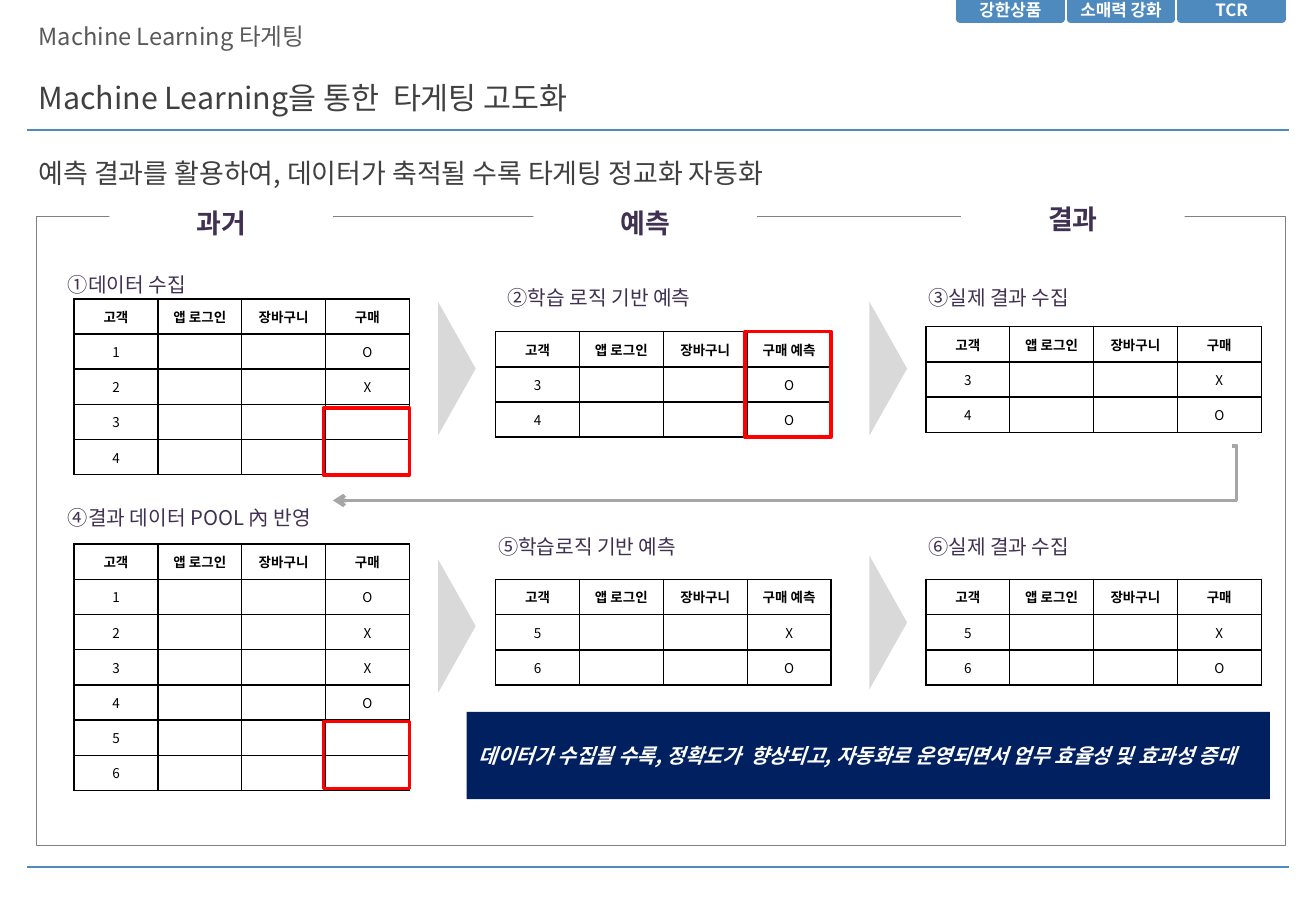
from lxml.etree import SubElement
from pptx import Presentation
from pptx.dml.color import RGBColor
from pptx.enum.shapes import MSO_CONNECTOR as Connector, MSO_SHAPE as Shape
from pptx.enum.text import MSO_ANCHOR as Anchor, MSO_AUTO_SIZE as AutoSize, PP_ALIGN as Align
from pptx.oxml.ns import qn
from pptx.util import Inches, Pt

BLUE, NAVY, PURPLE, RED = "4F8ABE", "002060", "403152", "FF0000"
WHITE, BLACK, DARK = "FFFFFF", "000000", "404040"
ROW, COLUMN = 0.29, 0.69


def color(value):
    return RGBColor.from_string(value)


def assign(target, values):
    for name, value in values.items():
        setattr(target, name, value)


class Board:
    font = "Noto Sans CJK KR"

    def __init__(self, page):
        self.page = page

    def label(self, frame, text, size, ink, align=Align.LEFT, spacing=None,
              bold=False, italic=False, **layout):
        assign(frame, {"word_wrap": True, "vertical_anchor": Anchor.TOP, **layout})
        para = frame.paragraphs[0]
        assign(para, {"alignment": align, "line_spacing": spacing})
        if not text:
            SubElement(para._p, qn("a:endParaRPr"), sz=str(size * 100))
            return
        span = para.add_run()
        span.text = text
        assign(span.font, {"name": self.font, "size": Pt(size), "bold": bold, "italic": italic})
        span.font.color.rgb = color(ink)
        SubElement(span._r.get_or_add_rPr(), qn("a:ea"), typeface=self.font)

    def text(self, left, top, width, height, text, size, ink, **layout):
        box = self.page.shapes.add_textbox(*map(Inches, (left, top, width, height)))
        self.label(box.text_frame, text, size, ink, **layout)

    def shape(self, left, top, width, height, fill=None, line=None, weight=1,
              kind=Shape.RECTANGLE, turn=0):
        shape = self.page.shapes.add_shape(kind, *map(Inches, (left, top, width, height)))
        shape.shadow.inherit = False
        shape.rotation = turn
        if fill:
            shape.fill.solid()
            shape.fill.fore_color.rgb = color(fill)
        else:
            shape.fill.background()
        if line:
            shape.line.color.rgb = color(line)
            shape.line.width = Pt(weight)
        else:
            shape.line.fill.background()
        return shape

    def line(self, start, end, ink, weight, kind=Connector.STRAIGHT):
        line = self.page.shapes.add_connector(kind, *map(Inches, start + end))
        line.line.color.rgb = color(ink)
        line.line.width = Pt(weight)
        SubElement(line._element.spPr, qn("a:effectLst"))
        return line

    def return_arrow(self, start, end, ink, weight, bend):
        arrow = self.line(start, end, ink, weight, Connector.ELBOW)
        geometry = arrow._element.spPr.find(qn("a:prstGeom"))
        guides = geometry.find(qn("a:avLst"))
        if guides is None:
            guides = SubElement(geometry, qn("a:avLst"))
        SubElement(guides, qn("a:gd"), name="adj1", fmla=f"val {bend}")
        SubElement(arrow._element.spPr.find(qn("a:ln")), qn("a:tailEnd"), type="arrow")

    def border(self, cell):
        properties = cell._tc.get_or_add_tcPr()
        for index, side in enumerate(("lnL", "lnR", "lnT", "lnB")):
            edge = SubElement(properties, qn(f"a:{side}"), w=str(Pt(1)))
            paint = SubElement(edge, qn("a:solidFill"))
            SubElement(paint, qn("a:srgbClr"), val=BLACK)
            properties.insert(index, edge)

    def table(self, left, top, last_header, customers):
        rows = [("고객", "앱 로그인", "장바구니", last_header)]
        rows += [(number, "", "", bought) for number, bought in customers]
        columns = len(rows[0])
        table = self.page.shapes.add_table(
            len(rows), columns, Inches(left), Inches(top),
            Inches(COLUMN * columns), Inches(ROW * len(rows))).table
        assign(table, {"first_row": False, "horz_banding": False})
        for column in table.columns:
            column.width = Inches(COLUMN)
        for r, values in enumerate(rows):
            table.rows[r].height = Inches(ROW)
            for c, value in enumerate(values):
                cell = table.cell(r, c)
                cell.fill.background()
                self.border(cell)
                self.label(cell.text_frame, value, 8, BLACK, Align.CENTER, bold=r == 0)
                cell.vertical_anchor = Anchor.MIDDLE


def main():
    deck = Presentation()
    assign(deck, {"slide_width": Inches(10.83), "slide_height": Inches(7.5)})
    board = Board(deck.slides.add_slide(deck.slide_layouts[6]))

    # Rules and tabs
    for y in (1.07, 7.14):
        board.line((0.22, y), (10.61, y), BLUE, 1)
    flush = dict.fromkeys(("margin_left", "margin_top", "margin_right", "margin_bottom"), 0)
    for index, name in enumerate(("강한상품", "소매력 강화", "TCR")):
        tab = board.shape(7.9 + 0.91 * index, 0, 0.83, 0.16, BLUE, BLUE, 4.5)
        board.label(tab.text_frame, name, 10, WHITE, Align.CENTER, bold=True,
                    word_wrap=False, vertical_anchor=Anchor.MIDDLE, **flush)

    # Titles
    board.text(0.22, 0.13, 6.77, 0.39, "Machine Learning 타게팅", 14, "595959")
    board.text(0.22, 0.6, 10.37, 0.46, "Machine Learning을 통한  타게팅 고도화", 18, DARK)
    board.text(0.22, 1.24, 10.37, 0.46,
               "예측 결과를 활용하여, 데이터가 축적될 수록 타게팅 정교화 자동화", 16, DARK)

    # Frame with stage headings
    board.shape(0.3, 1.78, 10.28, 5.18, line="808080", weight=0.75)
    for left, top, stage in ((0.9, 1.65, "과거"), (4.39, 1.65, "예측"), (7.91, 1.62, "결과")):
        heading = board.shape(left, top, 1.84, 0.37, WHITE)
        board.label(heading.text_frame, stage, 16, PURPLE, Align.CENTER, bold=True,
                    margin_left=Inches(0.04), margin_right=Inches(0.04),
                    auto_size=AutoSize.SHAPE_TO_FIT_TEXT)

    # Step labels
    for left, top, width, step in (
            (0.46, 2.14, 1.89, "①데이터 수집"),
            (4.08, 2.25, 1.89, "②학습 로직 기반 예측"),
            (7.54, 2.25, 1.89, "③실제 결과 수집"),
            (0.46, 4.06, 2.52, "④결과 데이터 POOL 內 반영"),
            (4, 4.3, 1.89, "⑤학습로직 기반 예측"),
            (7.54, 4.3, 1.89, "⑥실제 결과 수집")):
        board.text(left, top, width, 0.35, step, 12, PURPLE, spacing=Pt(18),
                   auto_size=AutoSize.SHAPE_TO_FIT_TEXT)

    # Customer tables: each pair is customer number and purchase
    for left, top, header, customers in (
            (0.61, 2.46, "구매", ("1O", "2X", ("3", ""), ("4", ""))),
            (4.08, 2.73, "구매 예측", ("3O", "4O")),
            (7.62, 2.69, "구매", ("3X", "4O")),
            (0.61, 4.48, "구매", ("1O", "2X", "3X", "4O", ("5", ""), ("6", ""))),
            (4.08, 4.77, "구매 예측", ("5X", "6O")),
            (7.62, 4.77, "구매", ("5X", "6O"))):
        board.table(left, top, header, customers)

    # Stage arrows
    for left, top in ((3.21, 2.88), (6.76, 2.88), (3.21, 5), (6.76, 4.97)):
        board.shape(left, top, 1.1, 0.31, "D9D9D9", kind=Shape.ISOSCELES_TRIANGLE, turn=90)
    board.return_arrow((10.14, 3.67), (2.74, 4.12), "A6A6A6", 2.25, -500)

    # Highlighted predictions
    for left, top, height in ((6.13, 2.73, 0.87), (2.66, 3.36, 0.55), (2.66, 5.94, 0.55)):
        board.shape(left, top, 0.71, height, line=RED, weight=2)

    # Conclusion
    banner = board.shape(3.84, 5.86, 6.61, 0.72, NAVY)
    board.label(banner.text_frame,
                "데이터가 수집될 수록, 정확도가  향상되고, 자동화로 운영되면서 업무 효율성 및 효과성 증대",
                12, WHITE, bold=True, italic=True, vertical_anchor=Anchor.MIDDLE)

    deck.save("out.pptx")


if __name__ == "__main__":
    main()
